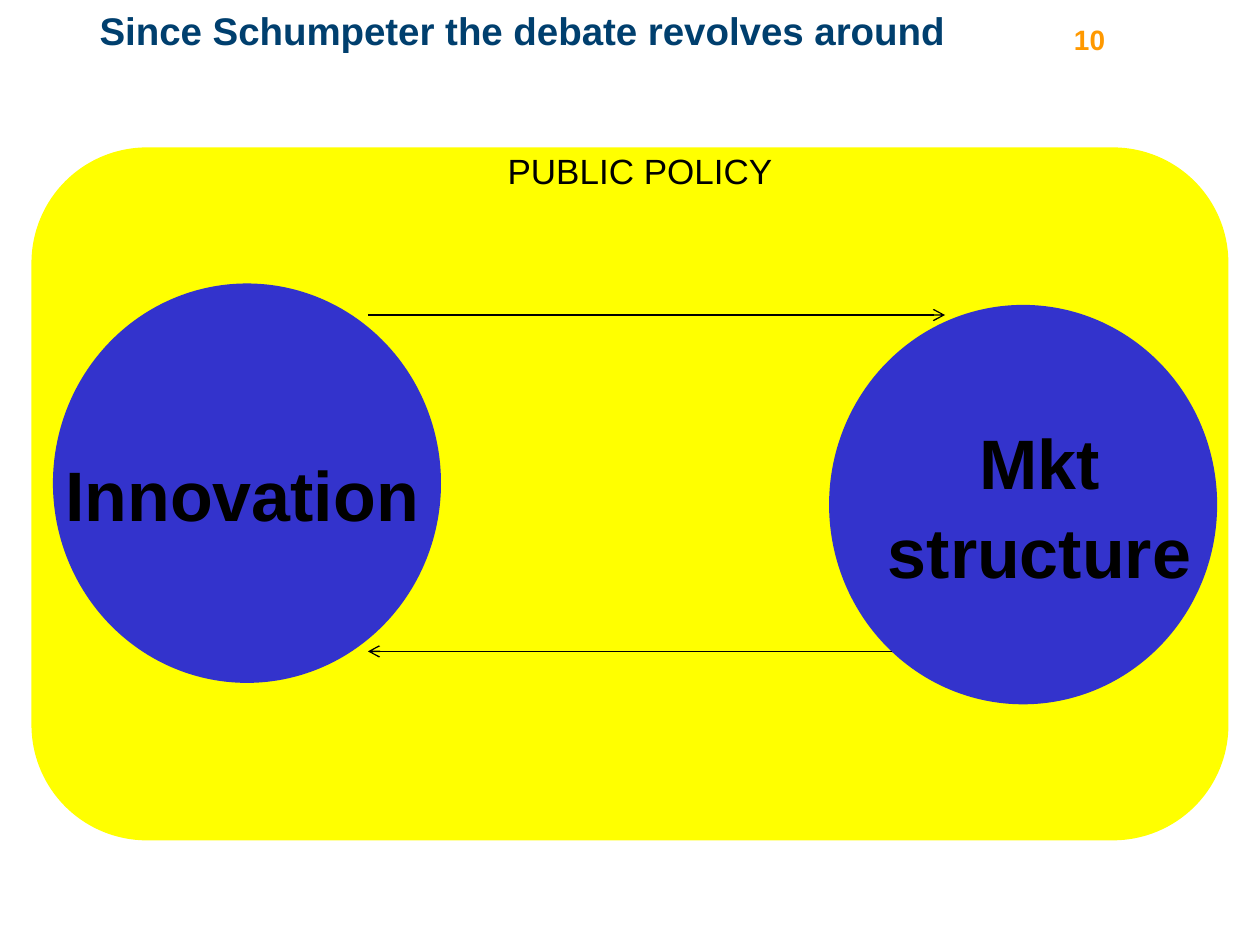
from dataclasses import dataclass

from pptx import Presentation
from pptx.dml.color import RGBColor
from pptx.enum.shapes import MSO_CONNECTOR, MSO_SHAPE
from pptx.enum.text import MSO_ANCHOR, MSO_AUTO_SIZE, PP_ALIGN
from pptx.oxml.ns import qn
from pptx.util import Inches, Pt


@dataclass(frozen=True)
class Theme:
    font: str = "Arial"
    title: str = "003F6E"
    accent: str = "FF9900"
    ink: str = "000000"
    panel: str = "FFFF00"
    circle: str = "3333CC"
    title_size: int = 22
    number_size: int = 16
    policy_size: int = 20
    concept_size: int = 40
    line_width: float = 0.75
    line_spacing: float = 1.05


THEME = Theme()
NO_INSETS = (0, 0, 0, 0)
CONCEPT_INSETS = (0.1, 0.05, 0.1, 0.05)


def set_all(target, values):
    for name, value in values.items():
        setattr(target, name, value)


def write(holder, text, size, color, bold=True, align=PP_ALIGN.LEFT,
          insets=NO_INSETS, wrap=True):
    """Put one formatted paragraph into a text box or placeholder."""
    frame = holder.text_frame
    left, top, right, bottom = (Inches(inset) for inset in insets)
    set_all(frame, {
        "text": text, "word_wrap": wrap, "auto_size": MSO_AUTO_SIZE.NONE,
        "vertical_anchor": MSO_ANCHOR.TOP, "margin_left": left,
        "margin_top": top, "margin_right": right, "margin_bottom": bottom,
    })
    paragraph = frame.paragraphs[0]
    set_all(paragraph, {"alignment": align, "line_spacing": THEME.line_spacing})
    font = paragraph.runs[0].font
    set_all(font, {"name": THEME.font, "size": Pt(size), "bold": bold})
    font.color.rgb = RGBColor.from_string(color)


def add_text(slide, box, *args, **options):
    write(slide.shapes.add_textbox(*map(Inches, box)), *args, **options)


def add_plain_shape(slide, kind, box, color):
    shape = slide.shapes.add_shape(kind, *map(Inches, box))
    shape.shadow.inherit = False
    shape.fill.solid()
    shape.fill.fore_color.rgb = RGBColor.from_string(color)
    shape.line.fill.background()


def add_arrow(slide, start, end):
    arrow = slide.shapes.add_connector(
        MSO_CONNECTOR.STRAIGHT, *map(Inches, (*start, *end)))
    arrow.line.width = Pt(THEME.line_width)
    arrow.line.color.rgb = RGBColor.from_string(THEME.ink)
    outline = arrow.line._get_or_add_ln()
    head = outline.makeelement(qn("a:tailEnd"), {"type": "arrow"})
    outline.append(head)
    properties = arrow._element.spPr
    properties.append(properties.makeelement(qn("a:effectLst"), {}))


def place_header(slide, title_box, number_box):
    title = slide.shapes.title
    edges = ("left", "top", "width", "height")
    set_all(title, dict(zip(edges, map(Inches, title_box))))
    write(title, "Since Schumpeter the debate revolves around",
          THEME.title_size, THEME.title)
    add_text(slide, number_box, "10", THEME.number_size, THEME.accent,
             align=PP_ALIGN.RIGHT, insets=(0, 0, 1.18, 0))


def place_policy_panel(slide, box):
    left, top, width, height = box
    add_plain_shape(slide, MSO_SHAPE.ROUNDED_RECTANGLE, box, THEME.panel)
    add_text(slide, (left + 0.33, top, width - 0.5, height - 0.08),
             "PUBLIC POLICY", THEME.policy_size, THEME.ink,
             bold=False, align=PP_ALIGN.CENTER)


def place_concept(slide, circle_box, label_box, label, align):
    add_plain_shape(slide, MSO_SHAPE.OVAL, circle_box, THEME.circle)
    add_text(slide, label_box, label, THEME.concept_size, THEME.ink,
             align=align, insets=CONCEPT_INSETS)


def place_feedback(slide, box):
    """Draw the forward arrow on the top edge and the return on the bottom."""
    left, top, width, height = box
    right, bottom = left + width, top + height
    add_arrow(slide, (left, top), (right, top))
    add_arrow(slide, (right - 0.42, bottom), (left, bottom))


def main():
    prs = Presentation()
    set_all(prs, {"slide_width": Inches(10), "slide_height": Inches(7.5)})
    slide = prs.slides.add_slide(prs.slide_layouts.get_by_name("Title Only"))

    # Yellow frame of public policy, behind everything else
    place_policy_panel(slide, (0.25, 1.17, 9.5, 5.5))

    # Title and slide number
    place_header(slide, (0.79, 0.04, 7.71, 0.92), (8.46, 0.17, 1.49, 0.27))

    # The two sides of the debate
    place_concept(slide, (0.42, 2.25, 3.08, 3.17), (0.42, 3.5, 3.25, 0.77),
                  "Innovation", PP_ALIGN.LEFT)
    place_concept(slide, (6.58, 2.42, 3.08, 3.17), (6.5, 3.25, 3.5, 1.45),
                  "Mkt structure", PP_ALIGN.CENTER)

    # Arrows in both directions between them
    place_feedback(slide, (2.92, 2.5, 4.58, 2.67))

    prs.save("out.pptx")


if __name__ == "__main__":
    main()
